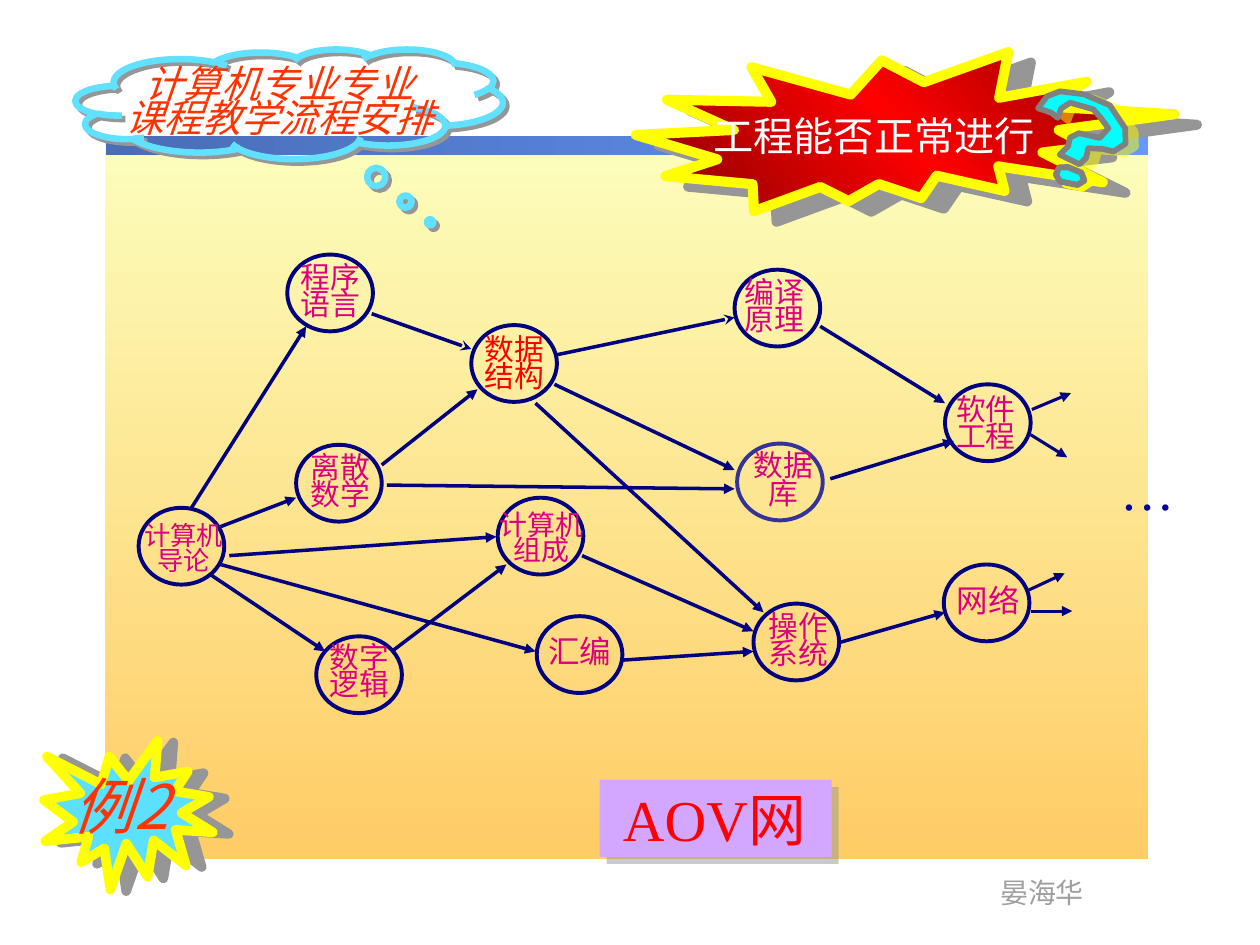
from lxml import etree
from pptx import Presentation
from pptx import util as u
from pptx.dml.color import RGBColor
from pptx.enum import shapes, text
from pptx.oxml.ns import qn

deck = Presentation()
deck.slide_width, deck.slide_height = u.Inches(10), u.Inches(7.5)
COL, ROW = deck.slide_width // 100, deck.slide_height // 75
page = deck.slides.add_slide(deck.slide_layouts[5])
KIND = shapes.MSO_SHAPE
LEFT, CENTER = text.PP_ALIGN.LEFT, text.PP_ALIGN.CENTER
TIMES, NOTO = "Times New Roman", "Noto Sans CJK SC"
NAVY, PINK, RED, ORANGE = "000080", "DC0081", "FF0000", "FF3300"


def hue(code):
    return RGBColor.from_string(code)


def write(box, lines, size, color, fonts=(TIMES,), align=CENTER, spacing=1.0,
          italic=False, shaded=False):
    """Fill a text box; lines split at a newline, runs at a bar."""
    frame = box.text_frame
    frame.word_wrap = True
    frame.auto_size = text.MSO_AUTO_SIZE.SHAPE_TO_FIT_TEXT
    frame.vertical_anchor = text.MSO_ANCHOR.TOP
    for i, line in enumerate(lines.split("\n")):
        para = frame.add_paragraph() if i else frame.paragraphs[0]
        para.alignment, para.line_spacing = align, spacing
        for words, font in zip(line.split("|"), fonts):
            span = para.add_run()
            span.text = words
            span.font.size, span.font.italic = u.Pt(size), italic
            span.font.color.rgb = hue(color)
            if shaded:
                effects = etree.SubElement(span._r.get_or_add_rPr(), qn("a:effectLst"))
                shadow = etree.SubElement(effects, qn("a:outerShdw"),
                                          dist="22000", dir="2700000")
                etree.SubElement(shadow, qn("a:srgbClr"), val="000000")
            span.font.name = font


# Background panel and header bar
panel = page.shapes.add_shape(KIND.RECTANGLE, 8.3 * COL, 11 * ROW, 82.8 * COL, 57.2 * ROW)
bar = page.shapes.add_shape(KIND.RECTANGLE, 8.4 * COL, 10.8 * ROW, 82.7 * COL, 1.5 * ROW)
author = page.shapes.add_textbox(78.4 * COL, 69 * ROW, 8.7 * COL, 3.7 * ROW)
write(author, "晏海华", 16, "9F9F9F", ("Arial Narrow",), LEFT)
author.text_frame.word_wrap = False

# Courses: circle column and row, label column, row and width, label, size, spacing
courses = [
    (22.8, 20.2, 20.2, 20.7, 12, "程序\n语言", 17, 0.75),
    (37.4, 25.8, 37.5, 26.4, 10.2, "数据\n结构", 17, 0.75),
    (23.5, 35.3, 21, 35.8, 12, "离散\n数学", 17, 0.75),
    (75, 30.5, 74.9, 31.2, 11.7, "软件\n工程", 17, 0.75),
    (59.8, 47.9, 57.8, 48.4, 11.1, "操作\n系统", 17, 0.75),
    (58.3, 21.4, 57.3, 21.9, 8.3, "编译\n原理", 17, 0.75),
    (58.5, 35.2, 56.9, 35.5, 10.6, "数据\n库", 17, 0.8),
    (39.5, 39.5, 36.3, 40.4, 13.4, "计算机\n组成", 16, 0.75),
    (42.6, 48.9, 40.9, 49.7, 10.2, "汇编", 18, 1.0),
    (74.9, 44.8, 71.6, 45.6, 13.7, "网络", 18, 1.0),
    (25.1, 50.5, 22, 50.9, 13.1, "数字\n逻辑", 17, 0.75),
    (11, 40.3, 8.3, 41.2, 12.6, "计算机\n导论", 15, 0.8),
]
for col, row, label_col, label_row, wide, name, size, spacing in courses:
    ring = page.shapes.add_shape(KIND.OVAL, col * COL, row * ROW, 6.8 * COL, 6.1 * ROW)
    ring.shadow.inherit = False
    ring.fill.background()
    ring.line.color.rgb = hue("333399" if name == "数据\n库" else NAVY)
    ring.line.width = u.Pt(2.25)
    label = page.shapes.add_textbox(label_col * COL, label_row * ROW, wide * COL,
                                    (5.2 if "\n" in name else 4) * ROW)
    write(label, name, size, RED if name == "数据\n结构" else PINK,
          (NOTO,) if name == "程序\n语言" else (TIMES,),
          LEFT if name in ("数据\n结构", "软件\n工程") else CENTER, spacing)

# Prerequisite arrows: start column and row, end column and row
links = [
    (15.2, 40.3, 24.3, 25.9), (17.5, 41.8, 23.5, 39.5), (29.5, 24.9, 37.4, 27.7),
    (30.3, 36.9, 37.9, 30.9), (31.1, 51.7, 40.2, 44.8), (18.2, 44.1, 39.4, 42.6),
    (44, 28.2, 58.3, 25.2), (44, 30.5, 58.3, 37.3), (42.5, 32, 60.6, 48.6),
    (46.2, 44.1, 59.8, 50.1), (49.3, 52.4, 59.8, 51.7), (65.1, 25.9, 75, 32),
    (66.6, 51, 75, 48.6), (16.7, 45.6, 25.8, 51.7), (17.5, 44.8, 42.5, 51.7),
    (65.9, 38, 75.7, 35), (30.7, 38.5, 58.3, 38.8),
]
exits = [(81.9, 32.5, 85, 31.2), (81.8, 48.5, 85.1, 48.5),
         (81.8, 34.5, 84.7, 36.3), (81.5, 46.9, 84.5, 45.5)]
stealth_links = (links[2], links[6])
for link in links + exits:
    x1, y1, x2, y2 = link
    arrow = page.shapes.add_connector(shapes.MSO_CONNECTOR.STRAIGHT, int(x1 * COL),
                                      int(y1 * ROW), int(x2 * COL), int(y2 * ROW))
    arrow.line.color.rgb = hue(NAVY)
    arrow.line.width = u.Pt(1.75 if link in exits else 2)
    etree.SubElement(arrow.line._get_or_add_ln(), qn("a:tailEnd"),
                     type="stealth" if link in stealth_links else "triangle")
    etree.SubElement(arrow._element.spPr, qn("a:effectLst"))
dots = page.shapes.add_textbox(86 * COL, 35.7 * ROW, 10.1 * COL, 6.2 * ROW)
write(dots, "…", 31, "000099")

# Question burst with its question mark, in hundredths of an inch
burst = page.shapes.add_shape(KIND.EXPLOSION2, 50.5 * COL, 3.7 * ROW, 42.6 * COL, 13.7 * ROW)
burst.rotation = 3.1
question = page.shapes.add_textbox(48.4 * COL, 8.3 * ROW, 42 * COL, 4.8 * ROW)
write(question, "工程能否正常进行", 23, "FFFFFF", shaded=True)
hook_points = [
    (821, 94), (832, 95), (838, 98), (839, 90), (845, 84), (864, 85), (871, 90),
    (879, 97), (874, 106), (857, 106), (851, 111), (851, 118), (846, 126),
    (863, 130), (867, 124), (867, 116), (878, 114), (887, 114), (895, 106),
    (892, 94), (876, 79), (854, 75), (835, 77), (826, 83)]
dot_points = [(847, 133), (840, 134), (838, 140), (842, 145), (856, 146),
              (861, 142), (858, 136)]
mark = []
for points, turn in ((hook_points, 12.9), (dot_points, 7)):
    builder = page.shapes.build_freeform(*points[0], scale=COL / 10)
    builder.add_line_segments(points[1:], close=True)
    mark.append(builder.convert_to_shape())
    mark[-1].rotation = turn
hook, dot = mark

# Network name plate
plate = page.shapes.add_shape(KIND.RECTANGLE, 47.6 * COL, 61.9 * ROW, 18.4 * COL, 6.1 * ROW)
caption = page.shapes.add_textbox(43.7 * COL, 61.7 * ROW, 26 * COL, 6.5 * ROW)
write(caption, "AOV|网", 33, RED, (TIMES, NOTO), shaded=True)

# Example badge
badge = page.shapes.add_shape(KIND.EXPLOSION1, 3.5 * COL, 58.8 * ROW, 13.4 * COL, 11.8 * ROW)
example = page.shapes.add_textbox(4.8 * COL, 60.5 * ROW, 12.9 * COL, 6.8 * ROW)
write(example, "例2", 35, ORANGE, (NOTO,), LEFT, italic=True, shaded=True)

# Title in its cloud
cloud = page.shapes.add_shape(KIND.CLOUD_CALLOUT, 6 * COL, 3.9 * ROW, 33.9 * COL, 8.7 * ROW)
cloud.adjustments[0], cloud.adjustments[1] = 0.33, 1.08
title = page.shapes.title
title.left, title.top = int(6.1 * COL), int(5.1 * ROW)
title.width, title.height = int(32.1 * COL), int(6.5 * ROW)
write(title, "计算机专业专业\n课程教学流程安排", 22, ORANGE, spacing=0.75,
      italic=True, shaded=True)
title._element.getparent().append(title._element)

# Fills, outlines and shadows (colour, opacity, distance, angle)
looks = [
    (panel, None, None, 0, None),
    (bar, None, None, 0, None),
    (burst, None, "FFFF00", 5.75, ("969696", 100, 14.3, 25)),
    (hook, "00FFFF", "808080", 3.25, ("FFFF00", 50, 6.3, 18)),
    (dot, "00FFFF", "808080", 3.5, ("FFFF00", 100, 3.6, 34)),
    (plate, "D3A7FF", None, 0, ("969696", 50, 5.7, 45)),
    (badge, "5BE0FF", "FFFF00", 5.5, ("969696", 100, 9.1, 6)),
    (cloud, None, "61E1FF", 3.75, ("969696", 100, 2.8, 45)),
]
for box, fill, line, weight, shade in looks:
    box.shadow.inherit = False
    if fill:
        box.fill.solid()
        box.fill.fore_color.rgb = hue(fill)
    elif box is cloud:
        box.fill.background()
    if line:
        box.line.color.rgb = hue(line)
        box.line.width = u.Pt(weight)
    else:
        box.line.fill.background()
    if shade:
        color, opacity, distance, angle = shade
        shadow = etree.SubElement(
            box._element.spPr.find(qn("a:effectLst")), qn("a:outerShdw"),
            dist=str(u.Pt(distance)), dir=str(angle * 60000), algn="ctr", rotWithShape="0")
        tint = etree.SubElement(shadow, qn("a:srgbClr"), val=color)
        etree.SubElement(tint, qn("a:alpha"), val=str(opacity * 1000))

# Gradients with evenly spaced stops
for box, angle, stops in ((panel, 90, ("FCFEBC", "FFCC66")),
                          (bar, 0, ("496DB6", "6699FF")),
                          (burst, 315, ("760000", RED, "760000"))):
    blend = etree.Element(qn("a:gradFill"), rotWithShape="1")
    ramp = etree.SubElement(blend, qn("a:gsLst"))
    for i, color in enumerate(stops):
        stop = etree.SubElement(ramp, qn("a:gs"), pos=str(100000 * i // (len(stops) - 1)))
        etree.SubElement(stop, qn("a:srgbClr"), val=color)
    etree.SubElement(blend, qn("a:lin"), ang=str(angle * 60000), scaled="0")
    box._element.spPr.find(qn("a:prstGeom")).addnext(blend)

deck.save("out.pptx")
